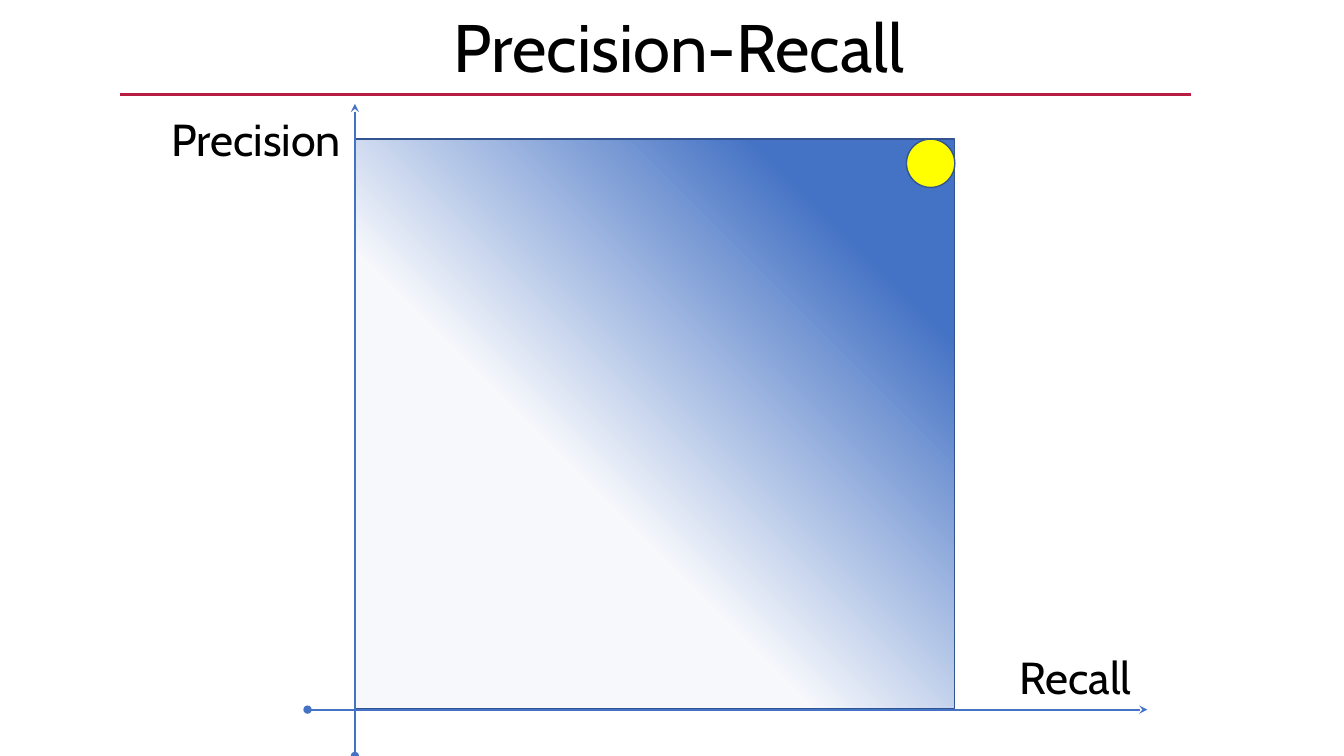
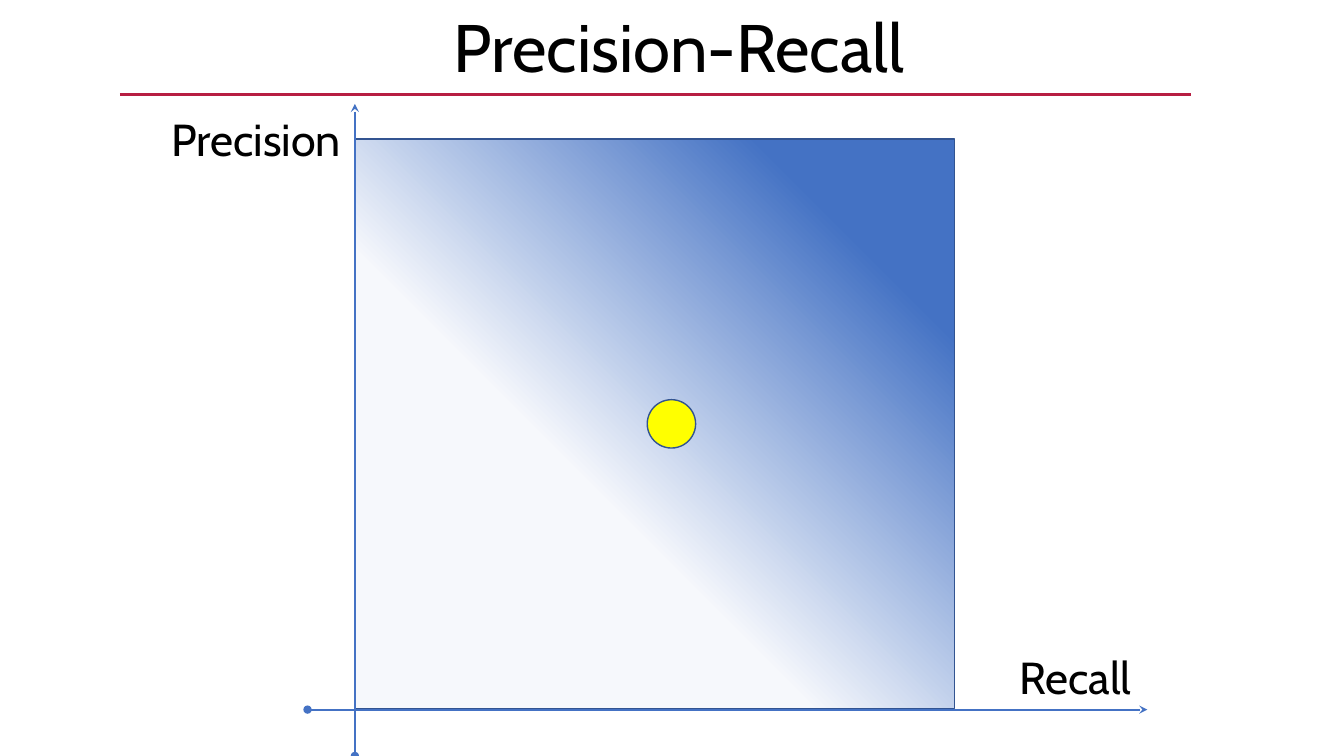
from dataclasses import dataclass

from lxml import etree
from pptx import Presentation
from pptx import util as u
from pptx.dml.color import RGBColor
from pptx.enum import shapes, text
from pptx.oxml.ns import qn

# Content: where the marker sits, as shares of the plot (recall, precision)
TITLE = "Precision-Recall"
MARKERS = [(1, 1), (0.53, 0.5)]

# Geometry in inches
WIDTH, HEIGHT = 13.33, 7.5
LEFT, TOP, PLOT_W, PLOT_H = 3.52, 1.38, 5.95, 5.65
BASE = 7.04
DOT = 0.48
LABELS = [("Precision", 1.6, 1.06), ("Recall", 10.01, BASE - 0.64)]
AXES = [  # start, end, start head, end head
    ((3.05, BASE), (11.38, BASE), "oval", "stealth"),
    ((LEFT, 1.03), (LEFT, HEIGHT), "stealth", "oval"),
]
RULE = ((1.19, 0.94), (11.81, 0.94))


@dataclass(frozen=True)
class Theme:
    font: str = "Cabin"
    ink: str = "000000"
    rule: str = "B71E42"
    axis: str = "4472C4"
    edge: str = "325491"
    marker: str = "FFFF00"
    ramp: tuple = ((0.39, "F6F8FC"), (0.83, "4472C4"))
    title_size: float = 48
    label_size: float = 32
    rule_width: float = 2.5
    axis_width: float = 1.5
    edge_width: float = 1


THEME = Theme()


def rgb(value):
    return RGBColor.from_string(value)


def inches(*values):
    return [u.Inches(value) for value in values]


def add_text(page, words, at, size, align=text.PP_ALIGN.LEFT):
    box = page.shapes.add_textbox(*inches(*at))
    box.text_frame.word_wrap = True
    para = box.text_frame.paragraphs[0]
    para.alignment = align
    span = para.add_run()
    span.text = words
    span.font.name = THEME.font
    span.font.size = u.Pt(size)
    span.font.color.rgb = rgb(THEME.ink)


def add_line(page, start, end, color, width, head=None, tail=None):
    line = page.shapes.add_connector(
        shapes.MSO_CONNECTOR.STRAIGHT, *inches(*start, *end))
    line.line.color.rgb = rgb(color)
    line.line.width = u.Pt(width)
    properties = line.line._get_or_add_ln()
    for tag, kind in (("a:headEnd", head), ("a:tailEnd", tail)):
        if kind:
            etree.SubElement(properties, qn(tag), type=kind)
    etree.SubElement(properties.getparent(), qn("a:effectLst"))


def add_outlined(page, kind, at):
    shape = page.shapes.add_shape(kind, *inches(*at))
    shape.shadow.inherit = False
    shape.line.color.rgb = rgb(THEME.edge)
    shape.line.width = u.Pt(THEME.edge_width)
    return shape


def add_plot(page):
    plot = add_outlined(page, shapes.MSO_SHAPE.RECTANGLE,
                        (LEFT, TOP, PLOT_W, PLOT_H))
    plot.fill.gradient()
    plot.fill.gradient_angle = 45
    for stop, (position, color) in zip(plot.fill.gradient_stops, THEME.ramp):
        stop.position = position
        stop.color.rgb = rgb(color)


def add_marker(page, recall, precision):
    x = LEFT + recall * (PLOT_W - DOT)
    y = TOP + (1 - precision) * (PLOT_H - DOT)
    dot = add_outlined(page, shapes.MSO_SHAPE.OVAL, (x, y, DOT, DOT))
    dot.fill.solid()
    dot.fill.fore_color.rgb = rgb(THEME.marker)


def add_page(deck, recall, precision):
    page = deck.slides.add_slide(deck.slide_layouts[6])
    add_plot(page)
    # Title and rule
    add_text(page, TITLE, (0.07, 0, WIDTH, 0.91), THEME.title_size,
             text.PP_ALIGN.CENTER)
    add_line(page, *RULE, THEME.rule, THEME.rule_width)
    # Axes and their labels
    for start, end, head, tail in AXES:
        add_line(page, start, end, THEME.axis, THEME.axis_width, head, tail)
    for words, x, y in LABELS:
        add_text(page, words, (x, y, 2.17, 0.64), THEME.label_size)
    add_marker(page, recall, precision)


def main():
    deck = Presentation()
    deck.slide_width, deck.slide_height = inches(WIDTH, HEIGHT)
    for recall, precision in MARKERS:
        add_page(deck, recall, precision)
    deck.save("out.pptx")


if __name__ == "__main__":
    main()
